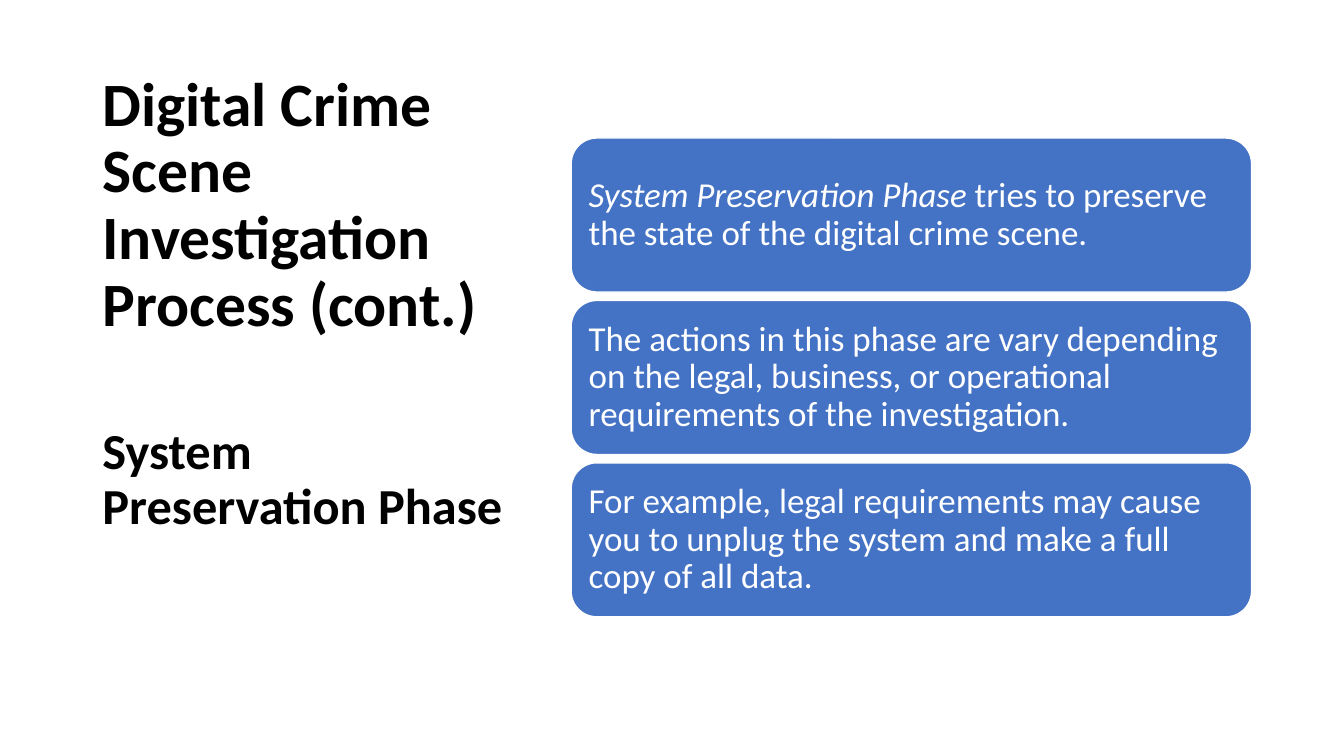
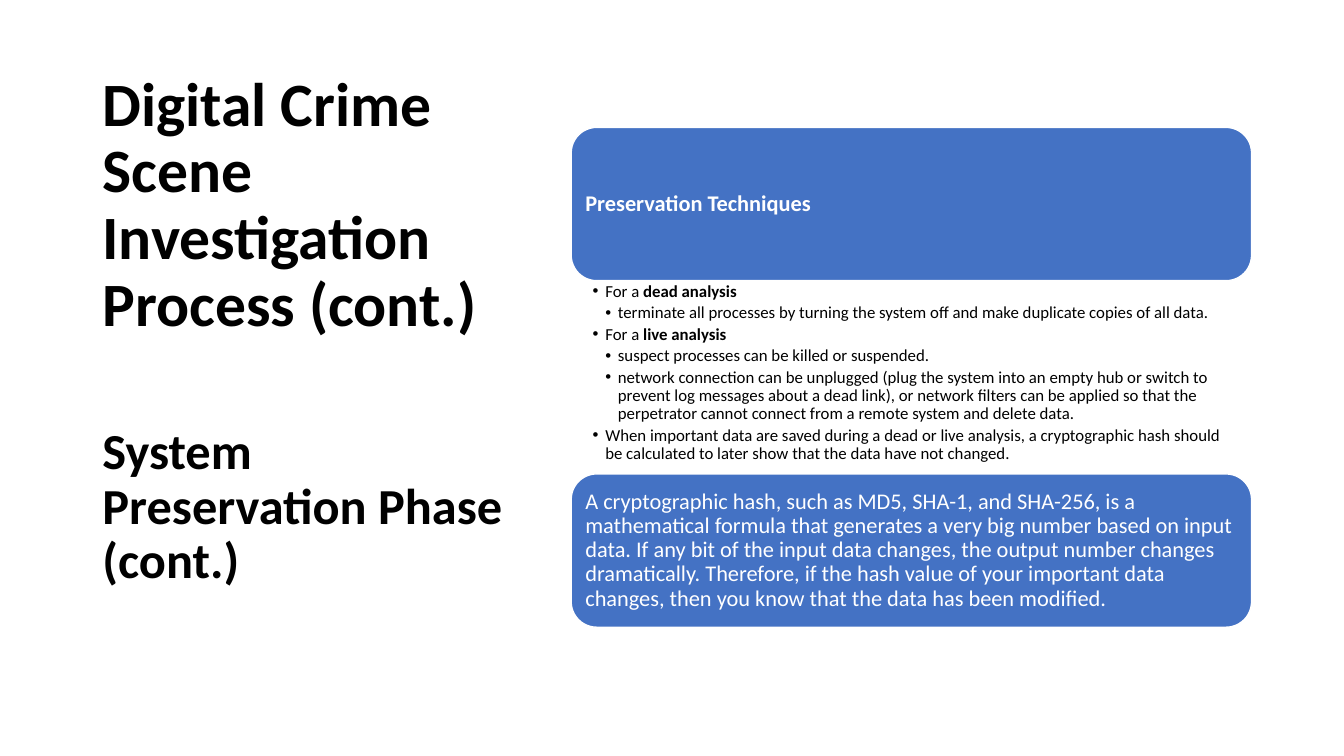
"""Build two slides on the system preservation phase."""
from lxml.etree import SubElement as Sub
from pptx import Presentation
from pptx.dml.color import RGBColor
from pptx.enum.shapes import MSO_SHAPE as Shape
from pptx.enum.text import MSO_ANCHOR as Anchor, MSO_AUTO_SIZE as Fit, PP_ALIGN as Align
from pptx.oxml.ns import qn
from pptx.util import Pt

BLACK = RGBColor(0x00, 0x00, 0x00)
WHITE = RGBColor(0xFF, 0xFF, 0xFF)
BLUE = RGBColor(0x44, 0x72, 0xC4)
FONT = "Calibri"
LEFT, WIDE = 408, 486


def place(box, left, top, width, height, anchor, pads):
    box.left, box.top, box.width, box.height = Pt(left), Pt(top), Pt(width), Pt(height)
    frame = box.text_frame
    frame.word_wrap = True
    frame.auto_size = Fit.NONE
    frame.vertical_anchor = anchor
    frame.margin_left, frame.margin_top, frame.margin_right, frame.margin_bottom = map(Pt, pads)
    return frame


def write(para, size, color, runs, indent=0, hang=0, after=0):
    props = para._p.get_or_add_pPr()
    props.set("marL", str(Pt(indent)))
    props.set("indent", str(-Pt(hang)))
    if hang:
        Sub(props, qn("a:buFont"), typeface="Arial")
        Sub(props, qn("a:buChar"), char="•")
    else:
        Sub(props, qn("a:buNone"))
    para.alignment = Align.LEFT
    para.line_spacing = 0.9
    para.space_before = Pt(0)
    para.space_after = Pt(after)
    for text, style in runs:
        run = para.add_run()
        run.text = text
        font = run.font
        font.name, font.size = FONT, Pt(size)
        font.bold, font.italic = style == "b", style == "i"
        font.color.rgb = color


TITLE = "Digital Crime Scene Investigation Process (cont.)"

SLIDES = [
    dict(
        layout=1, phase="System Preservation Phase",
        top=98.6, step=116, height=110, size=25, pad=7.2,
        cards=[
            [("System Preservation Phase ", "i"),
             ("tries to preserve the state of the digital crime scene.", "")],
            [("The actions in this phase are vary depending on the legal, business, "
              "or operational requirements of the investigation.", "")],
            [("For example, legal requirements may cause you to unplug the system "
              "and make a full copy of all data.", "")],
        ],
        points=[],
    ),
    dict(
        layout=3, phase="System Preservation Phase (cont.)",
        top=91, step=247.5, height=109.5, size=16, pad=4.8,
        cards=[
            [("Preservation Techniques", "b")],
            [("A cryptographic hash, such as MD5, SHA-1, and SHA-256, is a mathematical "
              "formula that generates a very big number based on input data. If any bit of "
              "the input data changes, the output number changes dramatically. Therefore, "
              "if the hash value of your important data changes, then you know that the "
              "data has been modified.", "")],
        ],
        points=[
            (0, [("For a ", ""), ("dead analysis", "b")]),
            (1, [("terminate all processes by turning the system off and make duplicate "
                  "copies of all data.", "")]),
            (0, [("For a", ""), (" live analysis", "b")]),
            (1, [("suspect processes can be killed or suspended.", "")]),
            (1, [("network connection can be unplugged (plug the system into an empty hub "
                  "or switch to prevent log messages about a dead link), or network filters "
                  "can be applied so that the perpetrator cannot connect from a remote "
                  "system and delete data.", "")]),
            (0, [("When important data are saved during a dead or live analysis, a "
                  "cryptographic hash should be calculated to later show that the data have "
                  "not changed.", "")]),
        ],
    ),
]

deck = Presentation()
deck.slide_width, deck.slide_height = Pt(960), Pt(540)

for page in SLIDES:
    slide = deck.slides.add_slide(deck.slide_layouts[page["layout"]])
    edge = (7.2, 3.6, 7.2, 3.6)
    frame = place(slide.shapes.title, 66, 36, 310, 210, Anchor.BOTTOM, edge)
    write(frame.paragraphs[0], 44, BLACK, [(TITLE, "b")])
    frame = place(slide.placeholders[1], 66, 301, 310, 200, Anchor.TOP, edge)
    write(frame.paragraphs[0], 36, BLACK, [(page["phase"], "b")])

    for row, runs in enumerate(page["cards"]):
        top = page["top"] + row * page["step"]
        card = slide.shapes.add_shape(Shape.ROUNDED_RECTANGLE, 0, 0, 0, 0)
        card.shadow.inherit = False
        card.fill.solid()
        card.fill.fore_color.rgb = BLUE
        card.line.color.rgb = WHITE
        card.line.width = Pt(1)
        frame = place(card, LEFT, top, WIDE, page["height"], Anchor.MIDDLE, [page["pad"]] * 4)
        write(frame.paragraphs[0], page["size"], WHITE, runs)

    if page["points"]:
        top = page["top"] + page["height"]
        room = page["step"] - page["height"]
        frame = place(slide.placeholders[2], LEFT, top, WIDE, room, Anchor.TOP, (15.4, 1.5, 8.6, 1.5))
        for row, (level, runs) in enumerate(page["points"]):
            para = frame.add_paragraph() if row else frame.paragraphs[0]
            para.level = level
            write(para, 12, BLACK, runs, indent=9 * (level + 1), hang=9, after=2.4)

deck.save("out.pptx")
